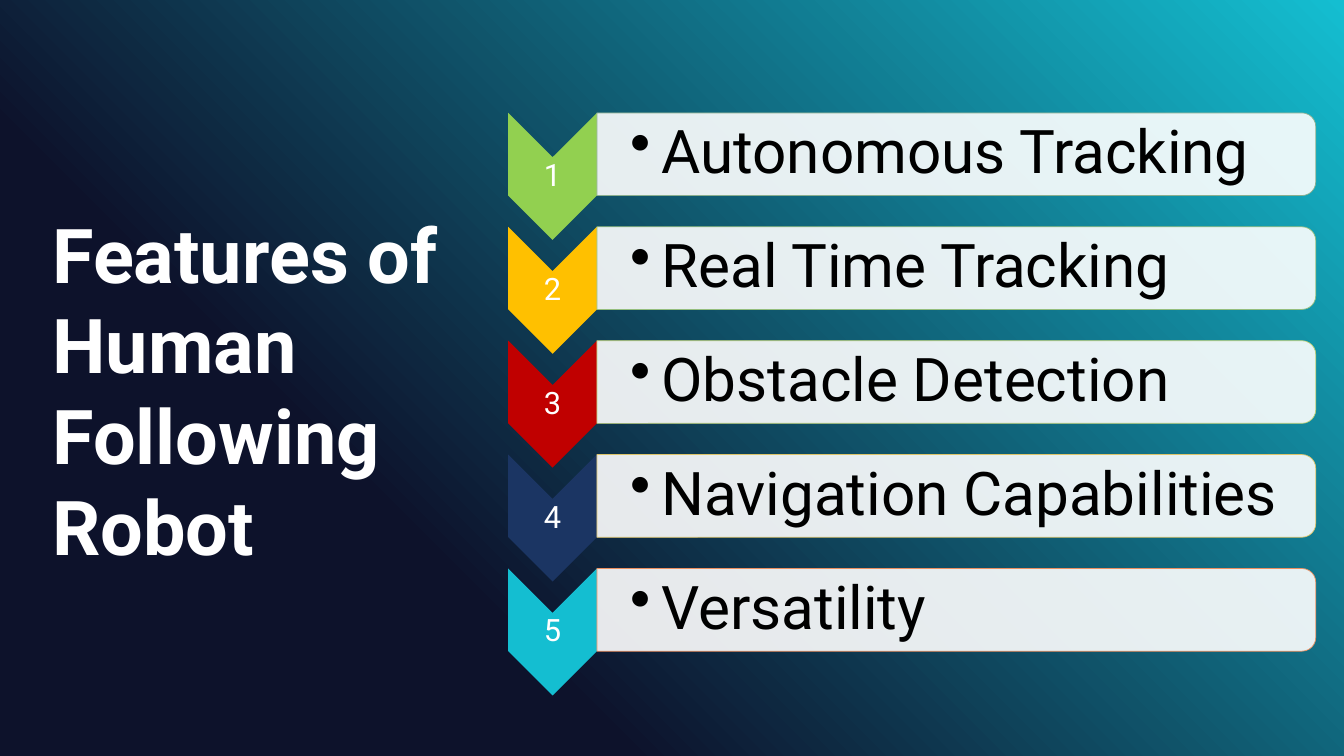
from lxml.etree import SubElement as add_sub
from pptx import Presentation
from pptx.dml.color import RGBColor
from pptx.enum.shapes import MSO_SHAPE as Shape
from pptx.enum.text import MSO_ANCHOR as Anchor, MSO_AUTO_SIZE as Fit, PP_ALIGN as Align
from pptx.oxml.ns import qn
from pptx.util import Inches, Pt

# Content
TITLE = "Features of Human Following Robot"
ITEMS = [  # text, arrow colour, bar outline
    ("Autonomous Tracking", RGBColor(0x92, 0xD0, 0x50), RGBColor(0x8A, 0xAE, 0x8E)),
    ("Real Time Tracking", RGBColor(0xFF, 0xC0, 0x00), RGBColor(0x94, 0xBE, 0x7E)),
    ("Obstacle Detection", RGBColor(0xC0, 0x00, 0x00), RGBColor(0xBA, 0xCE, 0x74)),
    ("Navigation Capabilities", RGBColor(0x1B, 0x35, 0x63), RGBColor(0xDD, 0xC4, 0x69)),
    ("Versatility", RGBColor(0x14, 0xBE, 0xD1), RGBColor(0xEB, 0x8F, 0x60)),
]

# Colours and formats
NAVY = RGBColor(0x0D, 0x12, 0x2B)
CYAN = RGBColor(0x14, 0xBE, 0xD1)
WHITE = RGBColor(0xFF, 0xFF, 0xFF)
BLACK = RGBColor(0x00, 0x00, 0x00)
HEAD = {"name": "Roboto", "size": Pt(54), "bold": True}
NUMBER = {"name": "Roboto", "size": Pt(22)}
LABEL = {"name": "Roboto", "size": Pt(43)}
SIDES = ("margin_left", "margin_top", "margin_right", "margin_bottom")

# Layout in inches
TOP, STEP = 1.12, 1.13
BAR_X, BAR_W, BAR_H = 5.92, 7.13, 0.82
ARROW_X, ARROW_W, ARROW_H = 5.04, 0.88, 1.26


def set_font(para, look, color):
    for key, value in look.items():
        setattr(para.font, key, value)
    para.font.color.rgb = color


def add_turned(slide, kind, x, y, w, h, color):
    """Place a shape turned by 90 degrees so that it covers x, y, w, h."""
    left, top = x + (w - h) / 2, y + (h - w) / 2
    shape = slide.shapes.add_shape(kind, Inches(left), Inches(top), Inches(h), Inches(w))
    shape.rotation = 90
    shape.shadow.inherit = False
    shape.fill.solid()
    shape.fill.fore_color.rgb = color
    shape.line.fill.background()
    return shape


def add_text(slide, text, spot, pads, look, color):
    box = slide.shapes.add_textbox(*map(Inches, spot))
    frame = box.text_frame
    frame.word_wrap = True
    frame.vertical_anchor = Anchor.MIDDLE
    for side, pad in zip(SIDES, pads):
        setattr(frame, side, Inches(pad))
    para = frame.paragraphs[0]
    para.text = text
    para.line_spacing = 0.9
    set_font(para, look, color)
    return para


def add_bullet(para):
    props = para._p.get_or_add_pPr()
    props.set("marL", str(Inches(0.31)))
    props.set("indent", str(Inches(-0.31)))
    add_sub(props, qn("a:buChar")).set("char", "•")


def add_row(slide, num, text, color, edge):
    y = TOP + (num - 1) * STEP

    # Arrow and its number
    add_turned(slide, Shape.CHEVRON, ARROW_X, y, ARROW_W, ARROW_H, color)
    spot = (ARROW_X, y + ARROW_W / 2, ARROW_W, ARROW_H - ARROW_W)
    para = add_text(slide, str(num), spot, [0.02] * 4, NUMBER, WHITE)
    para.alignment = Align.CENTER

    # Pale bar and its label
    bar = add_turned(slide, Shape.ROUND_2_SAME_RECTANGLE, BAR_X, y, BAR_W, BAR_H, WHITE)
    tint = bar._element.spPr.find(".//" + qn("a:srgbClr"))
    add_sub(tint, qn("a:alpha")).set("val", "90000")
    bar.line.color.rgb = edge
    bar.line.width = Pt(0.5)
    spot = (BAR_X, y + 0.04, BAR_W - 0.04, BAR_H - 0.08)
    add_bullet(add_text(slide, text, spot, [0.33, 0.03, 0.03, 0.03], LABEL, BLACK))


def main():
    deck = Presentation()
    deck.slide_width, deck.slide_height = Inches(13.33), Inches(7.5)
    slide = deck.slides.add_slide(deck.slide_layouts[5])

    # Background, dark at lower left
    back = slide.background.fill
    back.gradient()
    back.gradient_angle = 45
    for stop, place, color in zip(back.gradient_stops, (0.3, 1), (NAVY, CYAN)):
        stop.position, stop.color.rgb = place, color

    # Numbered rows
    for num, item in enumerate(ITEMS, 1):
        add_row(slide, num, *item)

    # Title
    title = slide.shapes.title
    title.left, title.top, title.width, title.height = map(Inches, (0.42, 2.01, 4.89, 3.74))
    frame = title.text_frame
    frame.word_wrap = True
    frame.auto_size = Fit.SHAPE_TO_FIT_TEXT
    frame.vertical_anchor = Anchor.TOP
    para = frame.paragraphs[0]
    para.text = TITLE
    para.alignment = Align.LEFT
    set_font(para, HEAD, WHITE)

    deck.save("out.pptx")


if __name__ == "__main__":
    main()
